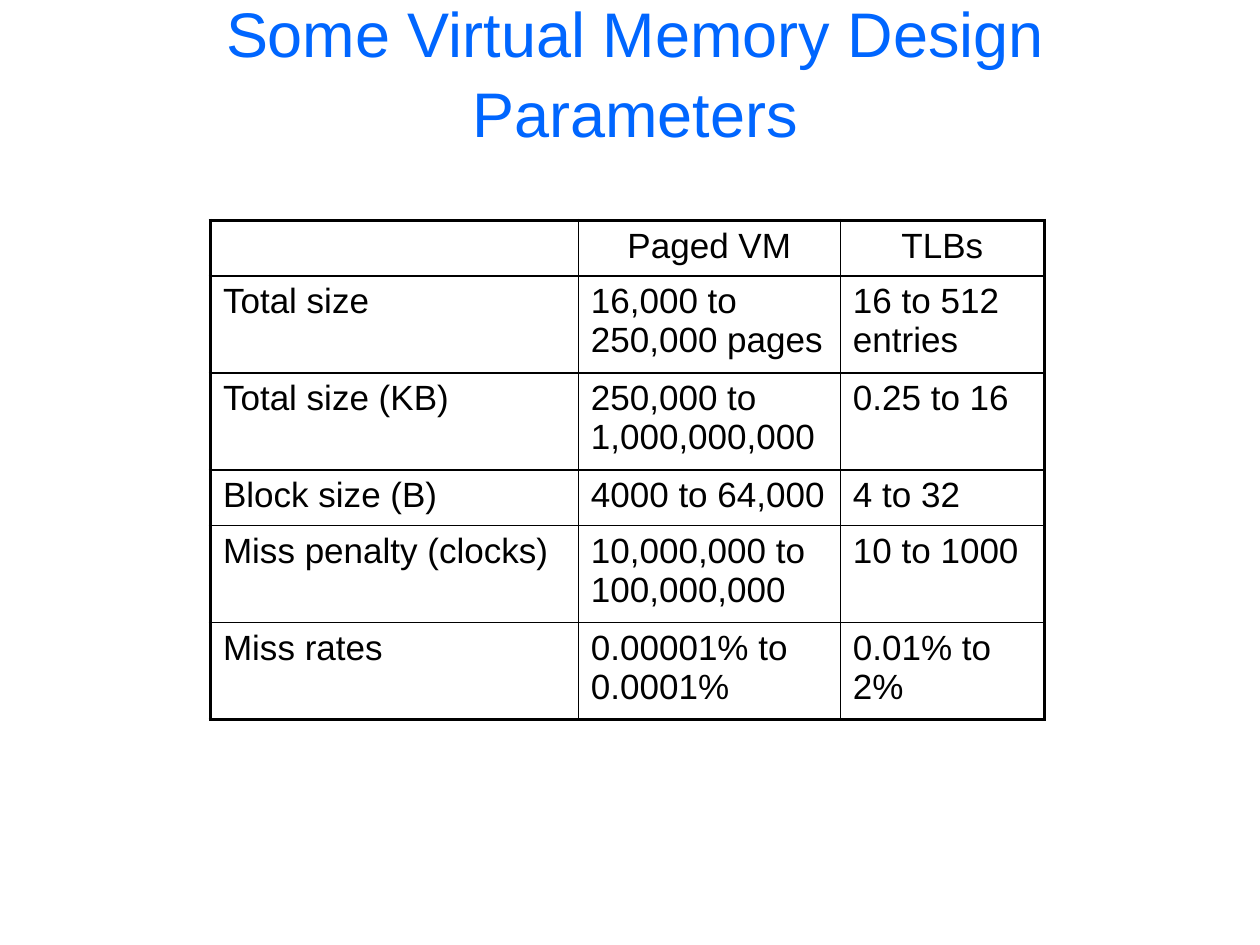
from pptx import Presentation
from pptx.dml.color import RGBColor
from pptx.enum.text import MSO_ANCHOR, PP_ALIGN
from pptx.oxml.ns import qn
from pptx.util import Inches, Pt
from lxml.etree import SubElement

TITLE = "Some Virtual Memory Design Parameters"
ROWS = [
    ("", "Paged VM", "TLBs"),
    ("Total size", "16,000 to 250,000 pages", "16 to 512 entries"),
    ("Total size (KB)", "250,000 to 1,000,000,000", "0.25 to 16"),
    ("Block size (B)", "4000 to 64,000", "4 to 32"),
    ("Miss penalty (clocks)", "10,000,000 to 100,000,000", "10 to 1000"),
    ("Miss rates", "0.00001% to 0.0001%", "0.01% to 2%"),
]
COL_WIDTHS = [2.92, 2.08, 1.62]
ROW_HEIGHTS = [0.44, 0.77, 0.77, 0.44, 0.77, 0.77]
COLORS = {"title": "0066FF", "text": "000000", "border": "000000", "cell": "FFFFFF"}
FONT = "Arial"
OUTER, INNER = 2.25, 1


def write(tf, text, size, color, align):
    p = tf.paragraphs[0]
    p.text = text
    p.alignment = align
    p.font.size = Pt(size)
    for r in p.runs:
        r.font.name = FONT
        r.font.size = Pt(size)
        r.font.color.rgb = RGBColor.from_string(COLORS[color])
    return p


def set_borders(cell, edges):
    tc_pr = cell._tc.get_or_add_tcPr()
    for i, (side, outer) in enumerate(edges.items()):
        ln = SubElement(tc_pr, qn(f"a:ln{side}"), w=str(Pt(OUTER if outer else INNER)))
        fill = SubElement(ln, qn("a:solidFill"))
        SubElement(fill, qn("a:srgbClr"), val=COLORS["border"])
        tc_pr.insert(i, ln)


prs = Presentation()
prs.slide_width, prs.slide_height = Inches(10), Inches(7.5)
s = prs.slides.add_slide(prs.slide_layouts[6])

title = s.shapes.add_textbox(Inches(0.58), Inches(0.33), Inches(8.92), Inches(0.46))
tf = title.text_frame
tf.word_wrap = True
tf.vertical_anchor = MSO_ANCHOR.MIDDLE
write(tf, TITLE, 36, "title", PP_ALIGN.CENTER).line_spacing = 1.05

table = s.shapes.add_table(
    len(ROWS), len(COL_WIDTHS), Inches(1.67), Inches(1.75),
    Inches(sum(COL_WIDTHS)), Inches(sum(ROW_HEIGHTS)),
).table
table.first_row = table.horz_banding = False
for col, width in zip(table.columns, COL_WIDTHS):
    col.width = Inches(width)
for row, height in zip(table.rows, ROW_HEIGHTS):
    row.height = Inches(height)

last_row, last_col = len(ROWS) - 1, len(COL_WIDTHS) - 1
for i, values in enumerate(ROWS):
    for j, value in enumerate(values):
        cell = table.cell(i, j)
        cell.fill.solid()
        cell.fill.fore_color.rgb = RGBColor.from_string(COLORS["cell"])
        align = PP_ALIGN.CENTER if i == 0 else PP_ALIGN.LEFT
        write(cell.text_frame, value, 20, "text", align)
        set_borders(cell, {"L": j == 0, "R": j == last_col,
                           "T": i == 0, "B": i == last_row})

prs.save("out.pptx")
